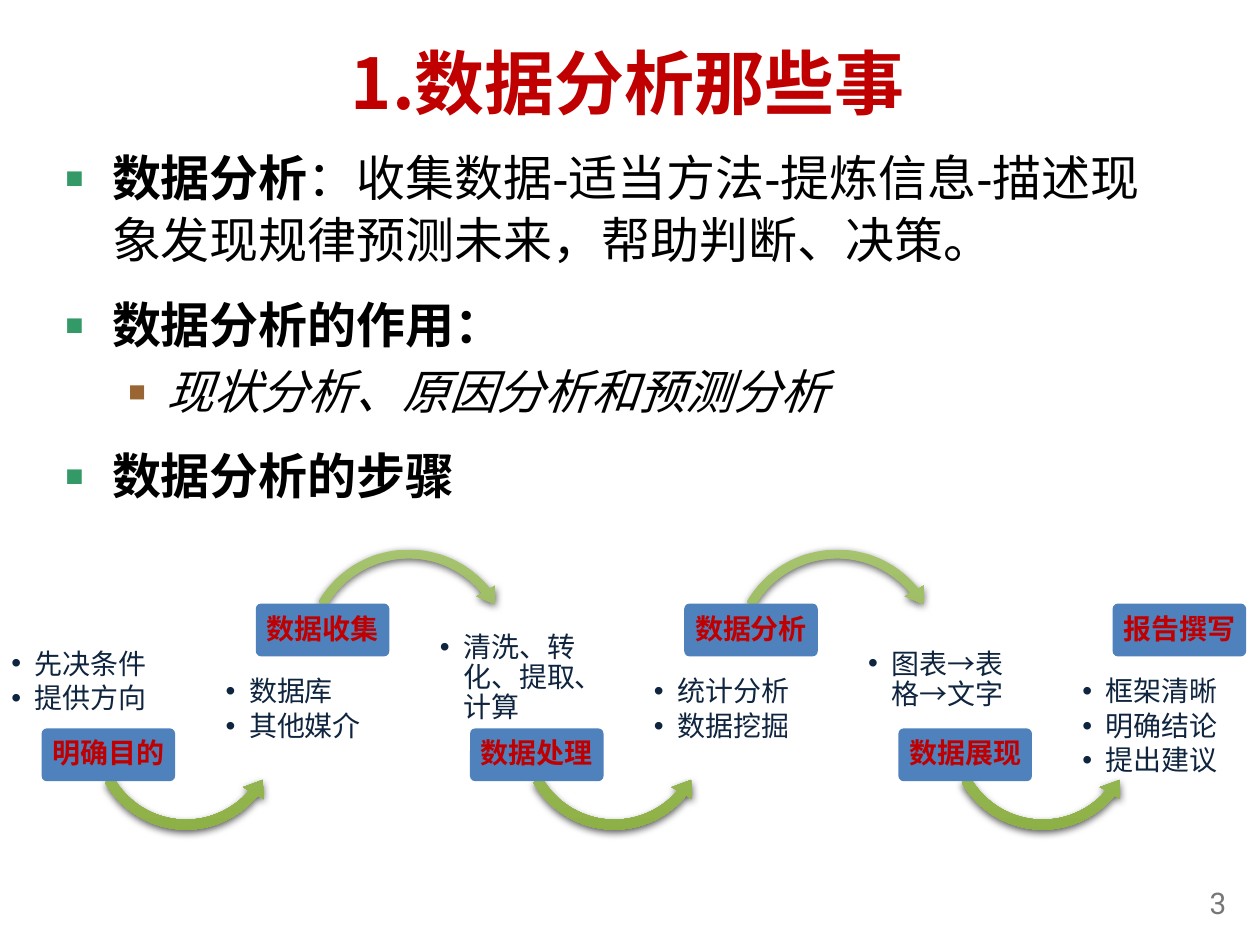
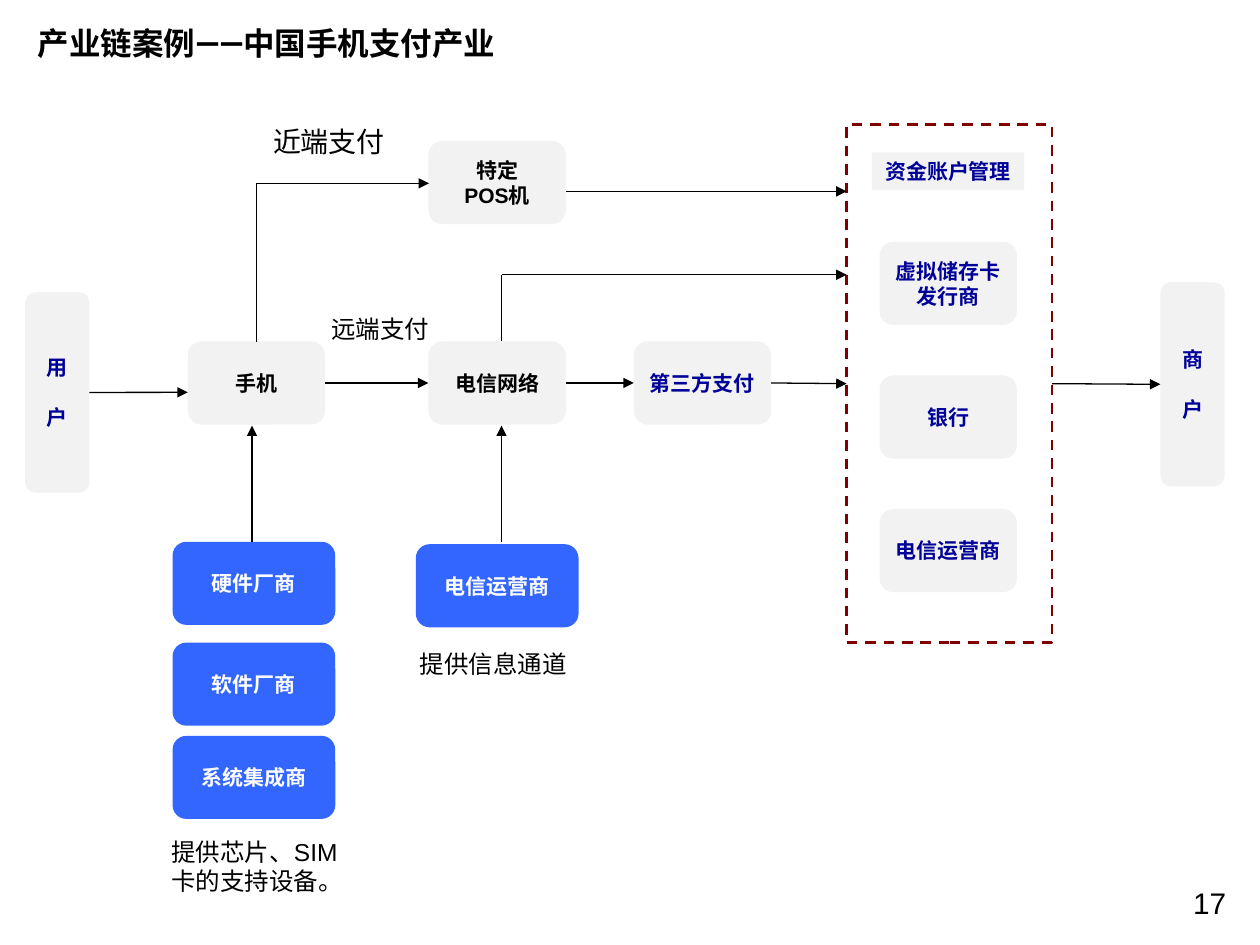
"""Builds two slides: the steps of data analysis and the mobile payment chain."""
from lxml import etree
from pptx import Presentation
from pptx.dml.color import RGBColor
from pptx.enum.dml import MSO_LINE
from pptx.enum.lang import MSO_LANGUAGE_ID
from pptx.enum.shapes import MSO_CONNECTOR, MSO_SHAPE
from pptx.enum.text import MSO_ANCHOR, MSO_AUTO_SIZE, PP_ALIGN
from pptx.oxml import parse_xml
from pptx.oxml.ns import nsdecls, qn
from pptx.util import Pt

LEFT, CENTER, RIGHT = PP_ALIGN.LEFT, PP_ALIGN.CENTER, PP_ALIGN.RIGHT
TOP, MIDDLE = MSO_ANCHOR.TOP, MSO_ANCHOR.MIDDLE
RECTANGLE, ROUNDED = MSO_SHAPE.RECTANGLE, MSO_SHAPE.ROUNDED_RECTANGLE
ARC_OVER, ARC_UNDER = MSO_SHAPE.CIRCULAR_ARROW, MSO_SHAPE.LEFT_CIRCULAR_ARROW
STRAIGHT, ELBOW = MSO_CONNECTOR.STRAIGHT, MSO_CONNECTOR.ELBOW
NO_AUTOFIT = MSO_AUTO_SIZE.NONE
DASH = MSO_LINE.DASH
CHINESE = MSO_LANGUAGE_ID.SIMPLIFIED_CHINESE
SIDE_LEFT, SIDE_RIGHT = 1, 3

ARIAL, NOTO, ROBOTO = "Arial", "Noto Sans CJK SC", "Roboto"
BLACK, WHITE, GREY = "000000", "FFFFFF", "777777"
RED, INK, STEEL = "C00000", "0F243E", "4F81BD"
GREEN_BULLET, BROWN_BULLET = "339966", "996633"
ARC_LIGHT, ARC_DARK = "A6C36F", "8DB045"
PALE, BLUE, NAVY, MAROON = "F2F2F2", "3366FF", "000099", "800000"


def rgb(code):
    """Turn a hex string into a colour."""
    return RGBColor.from_string(code)


class Deck:
    """Holds the presentation, the current slide and the shared style."""

    def __init__(self):
        """Start a 10 by 7.5 inch presentation."""
        self.prs = Presentation()
        self.prs.slide_width, self.prs.slide_height = Pt(720), Pt(540)
        self.slide = None

    def new_slide(self, title, box, size, color, align, number, number_font, number_color):
        """Add a title-only slide with its title and page number."""
        self.slide = self.prs.slides.add_slide(self.prs.slide_layouts[5])
        heading = self.slide.shapes.title
        heading.left, heading.top, heading.width, heading.height = map(Pt, box)
        heading.text_frame.auto_size = NO_AUTOFIT
        font = NOTO if align == CENTER else ARIAL
        self.set_text(heading.text_frame, [title], size, color, True, align, MIDDLE, font)
        self.text((653.8, 501.8, 54, 28.8), [number], 17, number_color,
                  align=RIGHT, font=number_font)

    def set_text(self, frame, lines, size, color=BLACK, bold=False, align=LEFT,
                 anchor=TOP, font=ARIAL, wrap=True):
        """Fill a text frame, one paragraph a line."""
        frame.word_wrap, frame.vertical_anchor = wrap, anchor
        for index, line in enumerate(lines):
            paragraph = frame.add_paragraph() if index else frame.paragraphs[0]
            paragraph.text, paragraph.alignment = line, align
            style = paragraph.font
            style.size, style.bold, style.name = Pt(size), bold, font
            style.color.rgb, style.language_id = rgb(color), CHINESE
            etree.SubElement(style._rPr, qn("a:ea")).set("typeface", ROBOTO)
        return frame.paragraphs

    def text(self, box, lines, size, color=BLACK, insets=None, **style):
        """Add a text box and return its paragraphs."""
        frame = self.slide.shapes.add_textbox(*map(Pt, box)).text_frame
        if insets:
            self.set_insets(frame, *insets)
        return self.set_text(frame, lines, size, color, **style)

    def set_insets(self, frame, side, end):
        """Set the side insets and the top and bottom insets."""
        frame.margin_left = frame.margin_right = Pt(side)
        frame.margin_top = frame.margin_bottom = Pt(end)

    def bullet(self, paragraph, char, indent, hang, color, percent):
        """Give a paragraph a hanging bullet."""
        props = paragraph._p.get_or_add_pPr()
        props.set("marL", str(Pt(indent)))
        props.set("indent", str(-Pt(hang)))
        for xml in (f'<a:buClr {nsdecls("a")}><a:srgbClr val="{color}"/></a:buClr>',
                    f'<a:buSzPct {nsdecls("a")} val="{percent * 1000}"/>',
                    f'<a:buFont {nsdecls("a")} typeface="{ARIAL}"/>',
                    f'<a:buChar {nsdecls("a")} char="{char}"/>'):
            props.find(qn("a:defRPr")).addprevious(parse_xml(xml))

    def shape(self, kind, box, fill=None):
        """Add a flat preset shape without an outline."""
        shape = self.slide.shapes.add_shape(kind, *map(Pt, box))
        shape.shadow.inherit = False
        shape.line.fill.background()
        if fill:
            shape.fill.solid()
            shape.fill.fore_color.rgb = rgb(fill)
        else:
            shape.fill.background()
        return shape

    def node(self, box, lines, color=BLACK, fill=PALE, kind=ROUNDED):
        """Add a labelled box of the chain."""
        node = self.shape(kind, box, fill)
        self.set_text(node.text_frame, lines, 12, color, True, CENTER, MIDDLE, wrap=False)
        return node

    def arc(self, kind, box, adjustments):
        """Add a curved arrow with a gradient and a soft shadow."""
        arc = self.shape(kind, box)
        for index, value in enumerate(adjustments):
            arc.adjustments[index] = value
        arc.fill.gradient()
        arc.fill.gradient_angle = 270
        for stop, color in zip(arc.fill.gradient_stops, (ARC_LIGHT, ARC_DARK)):
            stop.color.rgb = rgb(color)
        arc._element.spPr.find(qn("a:effectLst")).append(parse_xml(
            f'<a:outerShdw {nsdecls("a")} blurRad="{Pt(4.5)}" dist="{Pt(1.5)}" dir="5400000">'
            f'<a:srgbClr val="{BLACK}"><a:alpha val="63000"/></a:srgbClr></a:outerShdw>'))

    def line(self, start, end, source=None, target=None, head=True, kind=STRAIGHT):
        """Add a thin connector, joined to the nodes given."""
        line = self.slide.shapes.add_connector(kind, *map(Pt, start + end))
        if source:
            line.begin_connect(source, SIDE_RIGHT)
        if target:
            line.end_connect(target, SIDE_LEFT)
        line.line.width = Pt(0.75)
        line.line.color.rgb = rgb(BLACK)
        if head:
            etree.SubElement(line.line._get_or_add_ln(), qn("a:tailEnd")).set("type", "triangle")
        etree.SubElement(line._element.spPr, qn("a:effectLst"))
        return line


def build_analysis(deck):
    """Build the slide on what data analysis is and its steps."""
    deck.new_slide("1.数据分析那些事", (27.4, 20.2, 662.4, 53.3), 40, RED, CENTER,
                   "3", ROBOTO, GREY)
    points = deck.text((29.5, 79.2, 654.5, 403.2),
                       ["数据分析", "数据分析的作用：", "现状分析、原因分析和预测分析", "数据分析的步骤"],
                       28, bold=True)
    definition = points[0].add_run()
    definition.text = "：收集数据-适当方法-提炼信息-描述现象发现规律预测未来，帮助判断、决策。"
    definition.font.bold = False
    roles = points[2]
    for point in points:
        if point is roles:
            deck.bullet(point, "▪", 58.3, 22.3, BROWN_BULLET, 120)
            point.space_before = Pt(5)
            point.font.size, point.font.bold, point.font.italic = Pt(27), False, True
        else:
            deck.bullet(point, "▪", 27.4, 27.4, GREEN_BULLET, 120)
            point.space_before, point.line_spacing = Pt(13.5), 1.05

    steps = [("明确目的", ["先决条件", "提供方向"]),
             ("数据收集", ["数据库", "其他媒介"]),
             ("数据处理", ["清洗、转化、提取、计算"]),
             ("数据分析", ["统计分析", "数据挖掘"]),
             ("数据展现", ["图表→表格→文字"]),
             ("报告撰写", ["框架清晰", "明确结论", "提出建议"])]
    for index, (step, details) in enumerate(steps):
        shift, raised = 122.4 * index, index % 2 == 1
        full = step == "数据处理"
        items = deck.text((6.5 + shift, 377.3 if raised else 361.4, 82.8, 52.6), details, 16, INK,
                          insets=(0, 0 if full else 10), font=NOTO,
                          anchor=MIDDLE if full else TOP)
        for item in items:
            deck.bullet(item, "•", 13.5, 13.5, INK, 100)
            item.line_spacing, item.space_after = 0.9, Pt(2.4)
        if index < len(steps) - 1:
            if raised:
                deck.arc(ARC_OVER, (48.2 + shift - 122.4 + 122.4 - 0, 310.3, 126, 126),
                         (0.04, 5.63, 192.61, 125.76, 0.05))
            else:
                deck.arc(ARC_UNDER, (49 + shift, 363.6, 114.5, 114.5),
                         (0.05, 6.24, 23.99, 90.25, 0.06))
        tag = deck.shape(ROUNDED, (23.8 + shift, 344.9 if raised else 416.2, 76.3, 30.2), STEEL)
        tag.adjustments[0] = 0.1
        deck.set_insets(tag.text_frame, 0, 1.5)
        label = deck.set_text(tag.text_frame, [step], 16, RED, True, CENTER, MIDDLE, NOTO)[0]
        label.line_spacing = 0.9


def build_payment_chain(deck):
    """Build the slide on the mobile payment industry chain."""
    deck.new_slide("产业链案例——中国手机支付产业", (14.4, 10, 299.5, 28.8), 18, BLACK, LEFT,
                   "17", ARIAL, BLACK)
    node_size, maker_size, row = (78.5, 47.5), (93, 47.5), 195.1
    phone = deck.node((107.3, row, *node_size), ["手机"])
    network = deck.node((244.8, row, *node_size), ["电信网络"])
    deck.node((244.8, 80.6, *node_size), ["特定", "POS机"])
    third_party = deck.node((362.2, row, *node_size), ["第三方支付"], NAVY)
    user = deck.node((14.4, 167, 36.7, 114.5), ["用", "户"], NAVY)
    merchant = deck.node((663.1, 161.3, 36.7, 116.6), ["商", "户"], NAVY)
    for party in (user, merchant):
        party.text_frame.paragraphs[1].space_before = Pt(14)

    for left, top, maker in ((237.6, 311, "电信运营商"), (98.6, 309.6, "硬件厂商"),
                             (98.6, 367.2, "软件厂商"), (98.6, 420.5, "系统集成商")):
        deck.node((left, top, *maker_size), [maker], WHITE, BLUE)

    accounts = deck.shape(RECTANGLE, (483.8, 71.3, 117.4, 295.9))
    accounts.line.color.rgb = rgb(MAROON)
    accounts.line.width, accounts.line.dash_style = Pt(1.5), DASH
    deck.node((498.2, 87.1, 87.1, 21.6), ["资金账户管理"], NAVY, kind=RECTANGLE)
    for index, holder in enumerate((["虚拟储存卡", "发行商"], ["银行"], ["电信运营商"])):
        deck.node((502.6, 138.2 + 76.35 * index, *node_size), holder, NAVY)

    for box, note, size in (((90.7, 474.5, 117.4, 41), "提供芯片、SIM卡的支持设备。", 14),
                            ((232.6, 367.2, 102.2, 24.5), "提供信息通道", 14),
                            ((182.2, 175.7, 82.1, 24.5), "远端支付", 14),
                            ((149, 67.7, 88.6, 26.6), "近端支付", 16)):
        deck.text(box, [note], size)

    chain = [phone, network, third_party, accounts, merchant]
    for source, target in zip(chain, chain[1:]):
        deck.line((0, 0), (0, 0), source, target)
    deck.line((51.1, 224.2), (107.3, 224.2), source=user)
    for x in (144, 286.6):
        deck.line((x, 309.6), (x, 243.2))
    deck.line((286.6, row), (286.6, 157), head=False)
    deck.line((286.6, 157), (483.8, 157))
    deck.line((323.3, 109.4), (483.8, 109.4))
    near_field = deck.line((150.5, 100.8), (241.2, 199.4), kind=ELBOW)
    near_field._element.spPr.find(qn("a:prstGeom")).set("prst", "bentConnector2")
    near_field._element.spPr.find(qn("a:xfrm")).set("rot", "16200000")


def main():
    """Build and save both slides."""
    deck = Deck()
    build_analysis(deck)
    build_payment_chain(deck)
    deck.prs.save("out.pptx")


if __name__ == "__main__":
    main()
